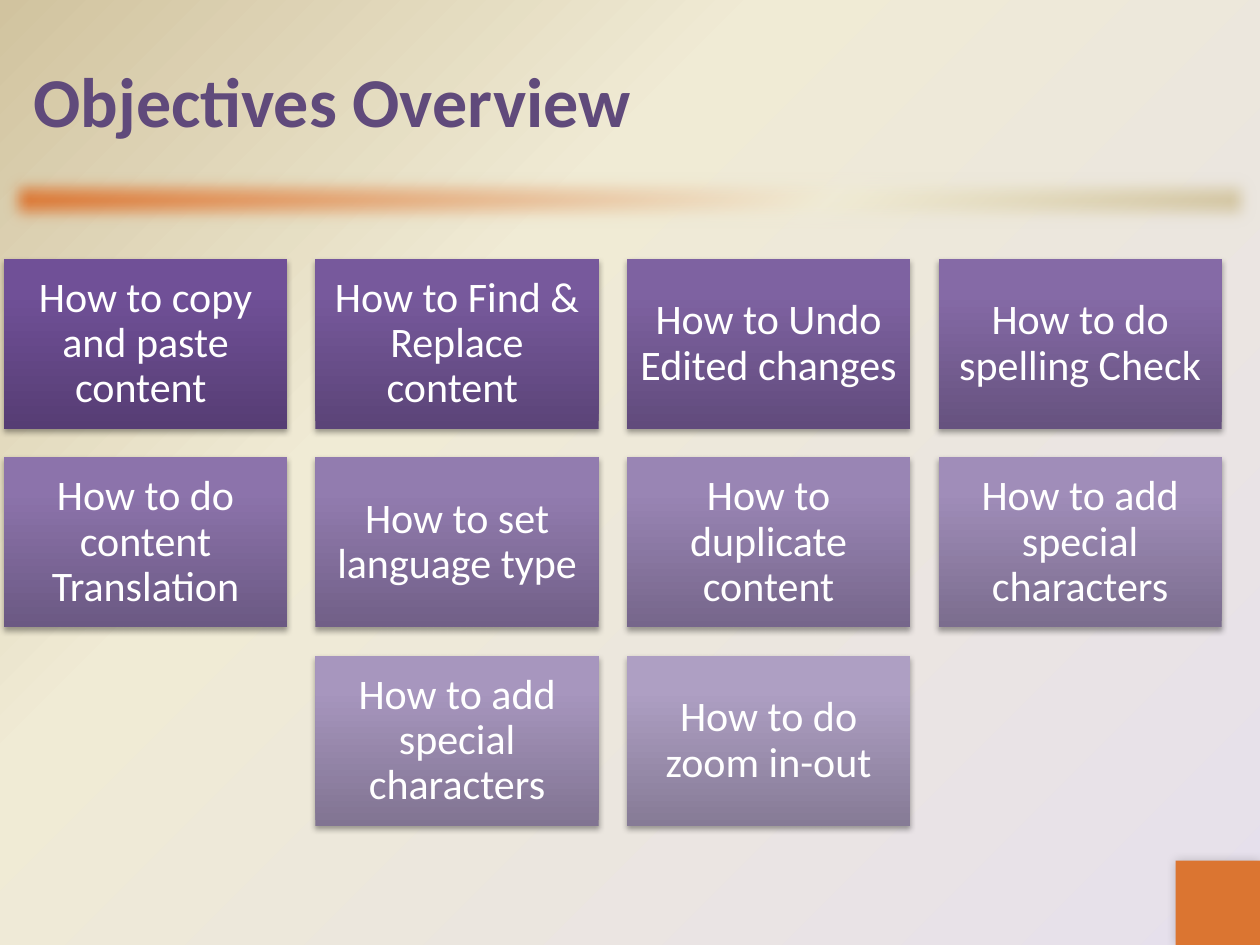
from lxml import etree
from pptx import Presentation
from pptx.dml.color import RGBColor
from pptx.enum.shapes import MSO_SHAPE
from pptx.enum.text import MSO_ANCHOR, PP_ALIGN
from pptx.oxml.ns import qn
from pptx.util import Cm, Pt

RECTANGLE = MSO_SHAPE.RECTANGLE
MIDDLE = MSO_ANCHOR.MIDDLE
LEFT, CENTER = PP_ALIGN.LEFT, PP_ALIGN.CENTER

TITLE = "Objectives Overview"
# The space that ends some objectives takes part in their centring.
OBJECTIVES = [
    "How to copy and paste content ",
    "How to Find & Replace content ",
    "How to Undo Edited changes ",
    "How to do spelling Check",
    "How to do content Translation",
    "How to set language type",
    "How to duplicate content",
    "How to add special characters",
    "How to add special characters",
    "How to do zoom in-out",
]
COLORS = {
    "title": "604A7B", "text": "FFFFFF", "shadow": "000000",
    "lavender": "E6E0EC", "cream": "F0EBD5", "tan": "D1C39F", "orange": "DB7531",
}
# Position in percent, colour of the first card, colour of the last card
CARD_STOPS = [(0, "563D74", "867B96"), (80, "705097", "AE9FC3"), (100, "704F99", "AE9FC4")]
CARD_SHADOW = {"alpha": 35, "blur": 3.15, "distance": 1.8, "angle": 90}
CORNER_SHADOW = {"alpha": 20, "blur": 6, "distance": 0, "angle": 225}
TITLE_FONT = {"name": "Calibri", "size": Pt(40), "bold": True}
CARD_FONT = {"name": "Calibri", "size": Pt(24)}
CARD_PARAGRAPH = {"alignment": CENTER, "line_spacing": 0.9, "space_after": Pt(8.4)}
CARD_FRAME = {
    "word_wrap": True, "vertical_anchor": MIDDLE,
    "margin_left": Cm(0.25), "margin_right": Cm(0.25),
    "margin_top": Cm(0.25), "margin_bottom": Cm(0.25),
}

SLIDE_WIDTH, SLIDE_HEIGHT = 25.4, 19.05
COLUMNS = 4
CARD_WIDTH, CARD_HEIGHT, GAP = 5.71, 3.43, 0.57
GRID_LEFT, GRID_TOP = 0.08, 5.22
CORNER = 1.7


def apply_format(target, values):
    for name, value in values.items():
        setattr(target, name, value)


def add_child(parent, tag, **attributes):
    values = {name: str(value) for name, value in attributes.items()}
    return etree.SubElement(parent, qn(tag), values)


def set_gradient(owner, fill, stops, angle=None):
    """Fill with a clockwise linear gradient, or one around the lower right corner."""
    fill.gradient()
    gradient = owner.element.find(".//" + qn("a:gradFill"))
    for child in list(gradient):
        gradient.remove(child)
    stop_list = add_child(gradient, "a:gsLst")
    for position, color in stops:
        stop = add_child(stop_list, "a:gs", pos=position * 1000)
        add_child(stop, "a:srgbClr", val=color)
    if angle is None:
        path = add_child(gradient, "a:path", path="circle")
        add_child(path, "a:fillToRect", l=100000, t=100000)
    else:
        add_child(gradient, "a:lin", ang=angle * 60000, scaled=0)


def add_rectangle(slide, left, top, width, height):
    shape = slide.shapes.add_shape(RECTANGLE, Cm(left), Cm(top), Cm(width), Cm(height))
    shape.line.fill.background()
    shape.shadow.inherit = False
    return shape


def effect_list(shape):
    return shape.element.spPr.find(qn("a:effectLst"))


def add_shadow(shape, alpha, blur, distance, angle):
    shadow = add_child(
        effect_list(shape), "a:outerShdw", blurRad=Pt(blur), dist=Pt(distance),
        dir=angle * 60000, rotWithShape=0)
    color = add_child(shadow, "a:srgbClr", val=COLORS["shadow"])
    add_child(color, "a:alpha", val=alpha * 1000)


def blend(first, last, share):
    pairs = zip(bytes.fromhex(first), bytes.fromhex(last))
    return "".join(f"{round(a + (b - a) * share):02X}" for a, b in pairs)


def add_decoration(slide):
    bar = add_rectangle(slide, 0, 3.39, SLIDE_WIDTH, 1.27)
    bar_stops = [(0, COLORS["orange"]), (65, COLORS["cream"]), (100, COLORS["tan"])]
    set_gradient(bar, bar.fill, bar_stops, 45)
    add_child(effect_list(bar), "a:softEdge", rad=Pt(10))

    corner = add_rectangle(slide, SLIDE_WIDTH - CORNER, SLIDE_HEIGHT - CORNER, CORNER, CORNER)
    corner.fill.solid()
    corner.fill.fore_color.rgb = RGBColor.from_string(COLORS["orange"])
    add_shadow(corner, **CORNER_SHADOW)


def format_title(title):
    apply_format(title, {"left": Cm(0.42), "top": Cm(0.42), "width": Cm(24.56), "height": Cm(3.18)})
    title.text_frame.text = TITLE
    title.text_frame.vertical_anchor = MIDDLE
    paragraph = title.text_frame.paragraphs[0]
    paragraph.alignment = LEFT
    apply_format(paragraph.font, TITLE_FONT)
    paragraph.font.color.rgb = RGBColor.from_string(COLORS["title"])


def add_cards(slide):
    """Place the objectives in rows, with a short last row centred."""
    for index, objective in enumerate(OBJECTIVES):
        row, column = divmod(index, COLUMNS)
        row_length = min(COLUMNS, len(OBJECTIVES) - row * COLUMNS)
        column += (COLUMNS - row_length) / 2
        card = add_rectangle(
            slide, GRID_LEFT + column * (CARD_WIDTH + GAP),
            GRID_TOP + row * (CARD_HEIGHT + GAP), CARD_WIDTH, CARD_HEIGHT)
        share = index / (len(OBJECTIVES) - 1)
        stops = [(position, blend(first, last, share)) for position, first, last in CARD_STOPS]
        set_gradient(card, card.fill, stops, 270)
        add_shadow(card, **CARD_SHADOW)
        card.text_frame.text = objective
        apply_format(card.text_frame, CARD_FRAME)
        paragraph = card.text_frame.paragraphs[0]
        apply_format(paragraph, CARD_PARAGRAPH)
        apply_format(paragraph.font, CARD_FONT)
        paragraph.font.color.rgb = RGBColor.from_string(COLORS["text"])


def main():
    presentation = Presentation()
    presentation.slide_width = Cm(SLIDE_WIDTH)
    presentation.slide_height = Cm(SLIDE_HEIGHT)
    slide = presentation.slides.add_slide(presentation.slide_layouts[5])
    background_stops = [(0, COLORS["lavender"]), (65, COLORS["cream"]), (100, COLORS["tan"])]
    set_gradient(slide, slide.background.fill, background_stops)
    add_decoration(slide)
    format_title(slide.shapes.title)
    add_cards(slide)
    presentation.save("out.pptx")


if __name__ == "__main__":
    main()
